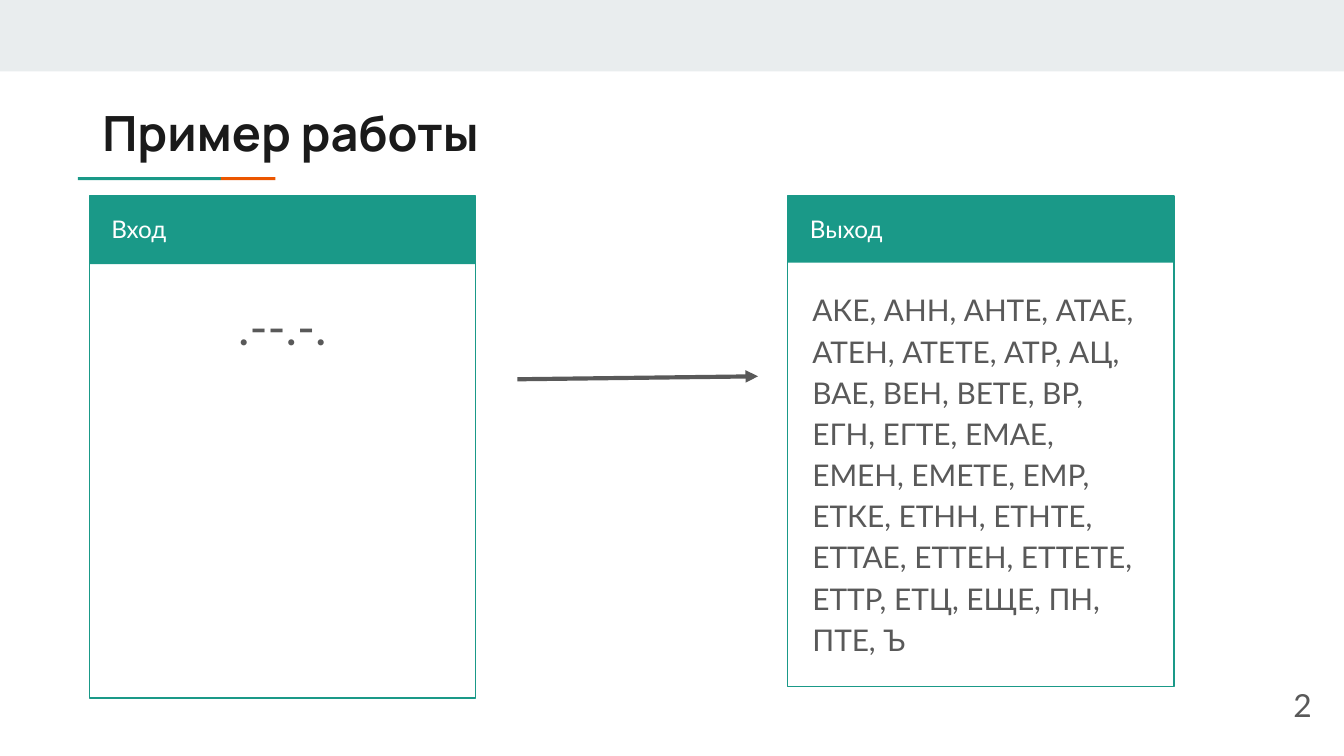
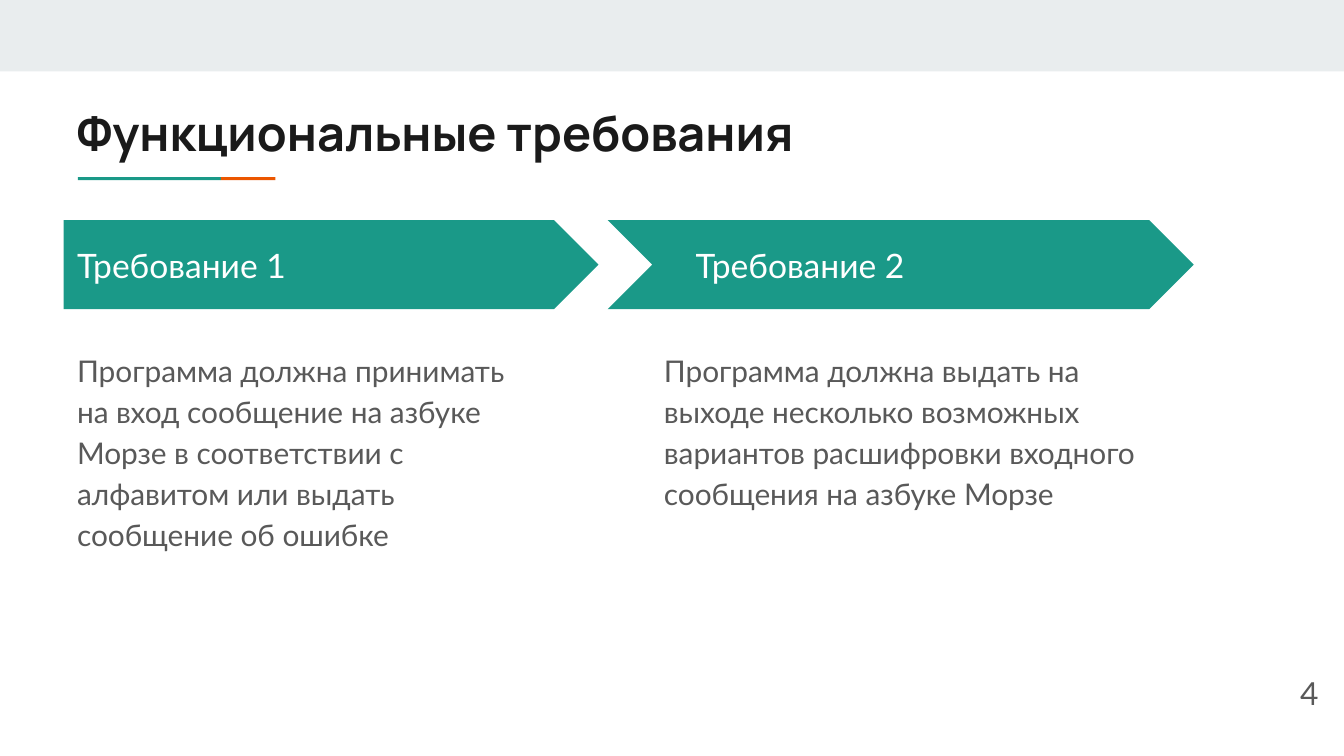
from lxml.etree import SubElement
from pptx import Presentation
from pptx.dml.color import RGBColor
from pptx.enum.shapes import MSO_CONNECTOR, MSO_SHAPE
from pptx.enum.text import MSO_ANCHOR, MSO_AUTO_SIZE, PP_ALIGN
from pptx.oxml.ns import qn
from pptx.util import Pt

TEAL = RGBColor(0x1A, 0x99, 0x88)
ORANGE = RGBColor(0xEB, 0x56, 0x00)
PALE = RGBColor(0xE9, 0xED, 0xEE)
INK = RGBColor(0x1A, 0x1A, 0x1A)
GREY = RGBColor(0x59, 0x59, 0x59)
WHITE = RGBColor(0xFF, 0xFF, 0xFF)

TITLE = {"name": "Manrope", "size": Pt(26), "bold": True}
CARD_LABEL = {"name": "Lato", "size": Pt(13), "bold": False}
MORSE = {"name": "Lato", "size": Pt(26), "bold": False}
BODY = {"name": "Lato", "size": Pt(16), "bold": False}
STEP_LABEL = {"name": "Lato", "size": Pt(18), "bold": False}
PAGE_NUMBER = {"name": "Lato", "size": Pt(17), "bold": False}


def add_block(page, kind, place, fill=None, line=None):
    block = page.shapes.add_shape(kind, *map(Pt, place))
    block.shadow.inherit = False
    if fill is None:
        block.fill.background()
    else:
        block.fill.solid()
        block.fill.fore_color.rgb = fill
    if line is None:
        block.line.fill.background()
    else:
        block.line.color.rgb = line
        block.line.width = Pt(0.75)
    return block


def write(box, place, text, font, color, align=PP_ALIGN.LEFT,
          anchor=MSO_ANCHOR.TOP, spacing=1.0, after=0):
    """Place a text holder in front of the shapes and fill it with one paragraph."""
    box.element.getparent().append(box.element)
    box.left, box.top, box.width, box.height = map(Pt, place)
    frame = box.text_frame
    frame_format = {"word_wrap": True, "auto_size": MSO_AUTO_SIZE.NONE,
                    "vertical_anchor": anchor}
    for side in ("left", "top", "right", "bottom"):
        frame_format[f"margin_{side}"] = Pt(7.2)
    for name, value in frame_format.items():
        setattr(frame, name, value)
    para = frame.paragraphs[0]
    para_format = {"alignment": align, "line_spacing": spacing,
                   "space_before": Pt(0), "space_after": Pt(after)}
    for name, value in para_format.items():
        setattr(para, name, value)
    properties = para._p.get_or_add_pPr()
    properties.set("marL", "0")
    properties.set("indent", "0")
    SubElement(properties, qn("a:buNone"))
    span = para.add_run()
    span.text = text
    for name, value in font.items():
        setattr(span.font, name, value)
    span.font.color.rgb = color


deck = Presentation()
deck.slide_width, deck.slide_height = Pt(720), Pt(405)
comparison = deck.slide_layouts[4]
example = deck.slides.add_slide(comparison)
requirements = deck.slides.add_slide(comparison)

# Shared band and title underline, kept on the master
master_tree = deck.slide_master.shapes.element
for number, (place, color) in enumerate([
    ((0, 0, 720, 38.3), PALE),
    ((41.8, 94.9, 76.6, 1.6), TEAL),
    ((118.4, 94.9, 29.2, 1.6), ORANGE),
]):
    band = add_block(example, MSO_SHAPE.RECTANGLE, place, color).element
    band.nvSpPr.cNvPr.set("id", str(100 + number))
    master_tree.insert(2 + number, band)

# Shared title and page number
for page, title, title_left, title_top, number, number_left, number_top in [
    (example, "Пример работы", 47.6, 47.8, "2", 666.7, 362.2),
    (requirements, "Функциональные требования", 33.8, 47.9, "4", 670.3, 355.7),
]:
    write(page.shapes.title, (title_left, title_top, 605.5, 42.5), title, TITLE, INK)
    write(page.shapes.add_textbox(0, 0, 0, 0), (number_left, number_top, 43.2, 31),
          number, PAGE_NUMBER, GREY, PP_ALIGN.RIGHT, MSO_ANCHOR.MIDDLE)

# Slide 1: input and output cards
answers = ("АКЕ, АНН, АНТЕ, АТАЕ, АТЕН, АТЕТЕ, АТР, АЦ, ВАЕ, ВЕН, ВЕТЕ, ВР, "
           "ЕГН, ЕГТЕ, ЕМАЕ, ЕМЕН, ЕМЕТЕ, ЕМР, ЕТКЕ, ЕТНН, ЕТНТЕ, ЕТТАЕ, ЕТТЕН, "
           "ЕТТЕТЕ, ЕТТР, ЕТЦ, ЕЩЕ, ПН, ПТЕ, Ъ")
card_top, card_width = 105, 207
for index, (left, height, header, label, text, font, align) in enumerate([
    (47.8, 269, 36.5, "Вход", ".--.-.", MORSE, PP_ALIGN.CENTER),
    (422, 262.8, 35.7, "Выход", answers, BODY, PP_ALIGN.LEFT),
]):
    label_holder, text_holder = (example.placeholders[2 * index + step] for step in (1, 2))
    add_block(example, MSO_SHAPE.RECTANGLE, (left, card_top, card_width, height), line=TEAL)
    add_block(example, MSO_SHAPE.RECTANGLE, (left, card_top, card_width, header), TEAL)
    write(label_holder, (left + 4.7, card_top, 196.6, header - 0.5),
          label, CARD_LABEL, WHITE, spacing=1.15)
    write(text_holder, (left + 6, card_top + header + 5.7, 195.1, height - header - 12.5),
          text, font, GREY, align, spacing=1.15, after=16)

arrow = example.shapes.add_connector(
    MSO_CONNECTOR.STRAIGHT, Pt(277.2), Pt(203.2), Pt(406.1), Pt(201.6))
arrow.line.color.rgb = GREY
arrow.line.width = Pt(2.25)
SubElement(arrow.line._get_or_add_ln(), qn("a:tailEnd"), type="triangle")
SubElement(arrow.element.spPr, qn("a:effectLst"))

# Slide 2: requirement banners with their descriptions
for index, (kind, left, width, label_left, text_left, text_width, text) in enumerate([
    (MSO_SHAPE.PENTAGON, 34.1, 286.5, 34.1, 34.1, 252.7,
     "Программа должна принимать на вход сообщение на азбуке Морзе "
     "в соответствии с алфавитом или выдать сообщение об ошибке"),
    (MSO_SHAPE.CHEVRON, 325.6, 313.9, 365.5, 348.5, 268.6,
     "Программа должна выдать на выходе несколько возможных вариантов "
     "расшифровки входного сообщения на азбуке Морзе"),
]):
    label_holder, text_holder = (requirements.placeholders[2 * index + step] for step in (1, 2))
    banner = add_block(requirements, kind, (left, 117.9, width, 47.8), TEAL)
    banner.adjustments[0] = 0.5
    write(label_holder, (label_left, 129.6, 177.8, 24.5), f"Требование {index + 1}",
          STEP_LABEL, WHITE, anchor=MSO_ANCHOR.MIDDLE)
    write(text_holder, (text_left, 178.6, text_width, 142), text, BODY, GREY,
          spacing=1.15, after=8)

deck.save("out.pptx")
